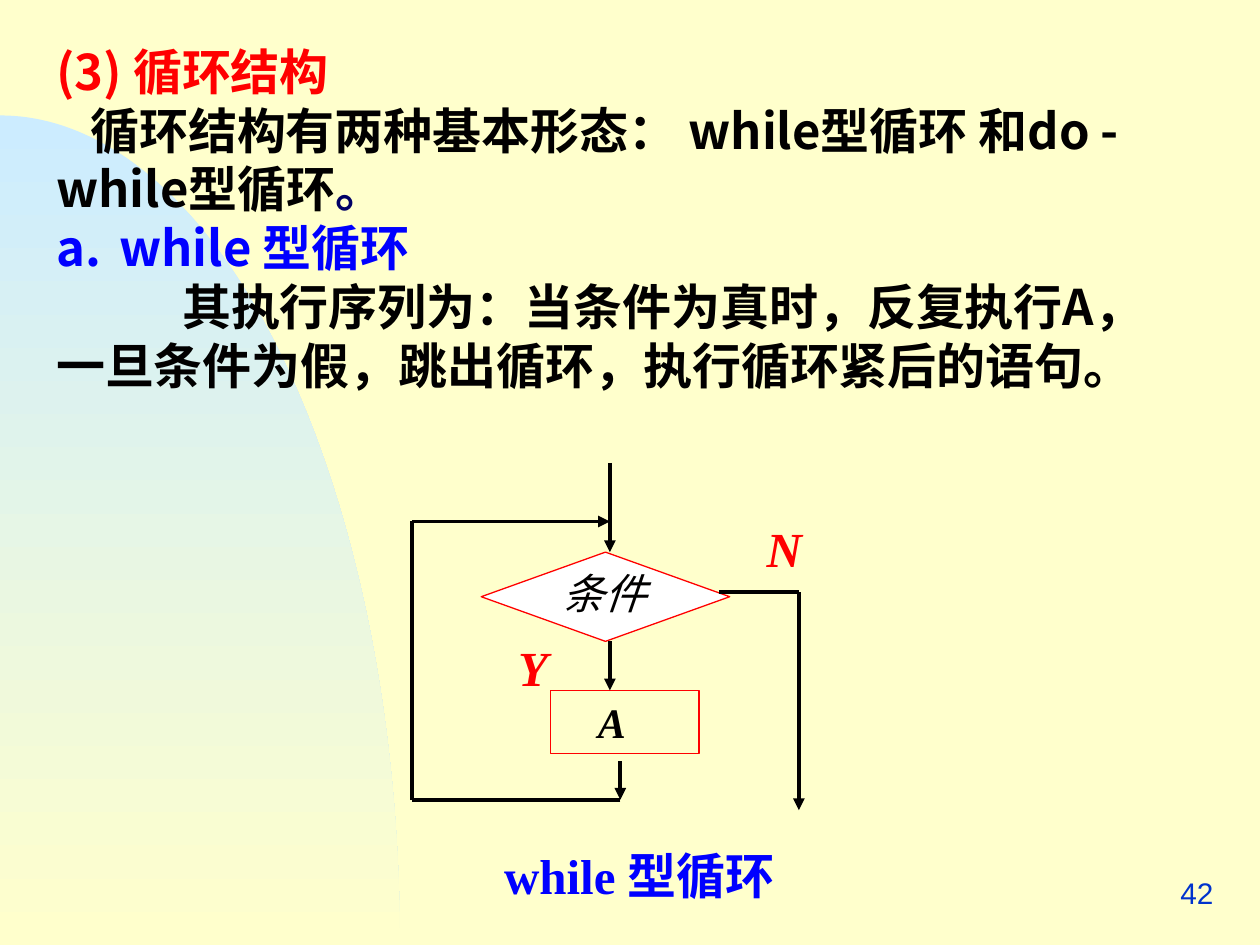
from math import cos, pi, sin

from lxml import etree
from pptx import Presentation
from pptx.dml.color import RGBColor
from pptx.enum.shapes import MSO_CONNECTOR, MSO_SHAPE
from pptx.enum.text import MSO_ANCHOR, PP_ALIGN
from pptx.oxml.ns import qn
from pptx.util import Pt

STRAIGHT = MSO_CONNECTOR.STRAIGHT
DIAMOND, RECT = MSO_SHAPE.FLOWCHART_DECISION, MSO_SHAPE.RECTANGLE
TOP, MIDDLE = MSO_ANCHOR.TOP, MSO_ANCHOR.MIDDLE
LEFT, RIGHT = PP_ALIGN.LEFT, PP_ALIGN.RIGHT

CREAM = RGBColor(0xFF, 0xFF, 0xCC)
SKY = RGBColor(0xCC, 0xEC, 0xFF)
WHITE = RGBColor(0xFF, 0xFF, 0xFF)
RED = RGBColor(0xFF, 0, 0)
BLUE = RGBColor(0, 0, 0xFF)
NAVY = RGBColor(0, 0, 0x66)
COBALT = RGBColor(0, 0x33, 0xCC)
BLACK = RGBColor(1, 0, 0)

SANS, SERIF = "Noto Sans CJK SC", "Times New Roman"
WIDE, HIGH = 720, 540

BODY = [
    (0, [("(3) 循环结构", RED)]),
    (19.5, [("循环结构有两种基本形态： while型循环 和do - while型循环", BLACK), ("。", NAVY)]),
    (0, [("a.\twhile 型循环", BLUE)]),
    (72, [("其执行序列为：当条件为真时，反复执行A，", BLACK)]),
    (0, [("一旦条件为假，跳出循环，执行循环紧后的语句。", BLACK)]),
]

BACK, MAIN, DOWN, EXIT = 235.5, 348.5, 354.5, 456.5
JOIN, TEST, FOOT = 298, 338.5, 457
LINES = [
    (411, TEST, EXIT, TEST, False),
    (EXIT, TEST, EXIT, 463, True),
    (MAIN, 264.5, MAIN, 315.5, True),
    (MAIN, 366.5, MAIN, 394.5, True),
    (DOWN, 435, DOWN, FOOT, True),
    (DOWN, FOOT, BACK, FOOT, False),
    (BACK, JOIN, BACK, FOOT, False),
    (BACK, JOIN, MAIN, JOIN, True),
]

LABELS = [
    ("条件", (314.5, 321, 85, 36), dict(size=24, ink=BLACK, slant=True)),
    ("N", (417, 293, 68.5, 41), dict(ink=RED, bold=True, slant=True, dent=14)),
    ("Y", (275, 361, 68.5, 41), dict(ink=RED, bold=True, slant=True, dent=14)),
    ("while 型循环", (281, 479.5, 272, 41), dict(ink=BLUE, bold=True)),
    ("42", (552, 492, 150, 36), dict(size=17, face="Arial", ink=COBALT,
                                     align=RIGHT, anchor=MIDDLE, pad=(8.6, 4.3))),
]


def write(shape, text, size=28, face=SERIF, ink=BLACK, bold=False, slant=False,
          dent=0, align=LEFT, anchor=TOP, pad=(7.2, 3.6)):
    frame = shape.text_frame
    frame.word_wrap = True
    frame.vertical_anchor = anchor
    frame.margin_left = frame.margin_right = Pt(pad[0])
    frame.margin_top = frame.margin_bottom = Pt(pad[1])
    paras = [(dent, [(text, ink)])] if isinstance(text, str) else text
    for at, (inset, runs) in enumerate(paras):
        para = frame.add_paragraph() if at else frame.paragraphs[0]
        para.alignment = align
        props = para._p.get_or_add_pPr()
        props.set("marL", "0")
        props.set("indent", str(Pt(inset)))
        for words, shade in runs:
            run = para.add_run()
            run.text = words
            font = run.font
            font.size, font.name = Pt(size), face
            font.bold, font.italic = bold, slant
            font.color.rgb = shade
            latin = run._r.rPr.find(qn("a:latin"))
            east = etree.Element(qn("a:ea"), typeface=SANS)
            latin.addnext(east)


def place(slide, kind, box, fill=None):
    shape = slide.shapes.add_shape(kind, *map(Pt, box))
    shape.shadow.inherit = False
    if fill is None:
        shape.fill.background()
    else:
        shape.fill.solid()
        shape.fill.fore_color.rgb = fill
    shape.line.color.rgb = RED
    shape.line.width = Pt(0.75)
    return shape


def link(slide, x1, y1, x2, y2, arrow):
    line = slide.shapes.add_connector(STRAIGHT, *map(Pt, (x1, y1, x2, y2)))
    line.line.color.rgb = BLACK
    line.line.width = Pt(2.25)
    if arrow:
        etree.SubElement(line.line._get_or_add_ln(), qn("a:tailEnd"), type="triangle")
    etree.SubElement(line._element.spPr, qn("a:effectLst"))


def arc(slide, wide=228.5, tall=474, steps=90):
    turns = [pi / 2 * n / steps for n in range(steps + 1)]
    spots = [(Pt(wide * sin(t)), Pt(HIGH - tall * cos(t))) for t in turns]
    pen = slide.shapes.build_freeform(*spots[0])
    pen.add_line_segments(spots[1:] + [(0, Pt(HIGH))], close=True)
    shape = pen.convert_to_shape()
    shape.shadow.inherit = False
    shape.line.fill.background()
    shape.fill.gradient()
    shape.fill.gradient_angle = 270
    for stop, tint in zip(shape.fill.gradient_stops, (SKY, CREAM)):
        stop.color.rgb = tint


def main():
    deck = Presentation()
    deck.slide_width, deck.slide_height = Pt(WIDE), Pt(HIGH)
    slide = deck.slides.add_slide(deck.slide_layouts[6])
    slide.background.fill.solid()
    slide.background.fill.fore_color.rgb = CREAM
    arc(slide)
    body = slide.shapes.add_textbox(*map(Pt, (25, 20, 663, 243)))
    write(body, BODY, face=SANS, bold=True)
    place(slide, DIAMOND, (275, 315.5, 142, 51), WHITE)
    step = place(slide, RECT, (314.5, 394.5, 85, 36))
    write(step, "A", size=24, bold=True, slant=True, dent=20)
    for ends in LINES:
        link(slide, *ends)
    for text, box, style in LABELS:
        write(slide.shapes.add_textbox(*map(Pt, box)), text, **style)
    deck.save("out.pptx")


if __name__ == "__main__":
    main()
